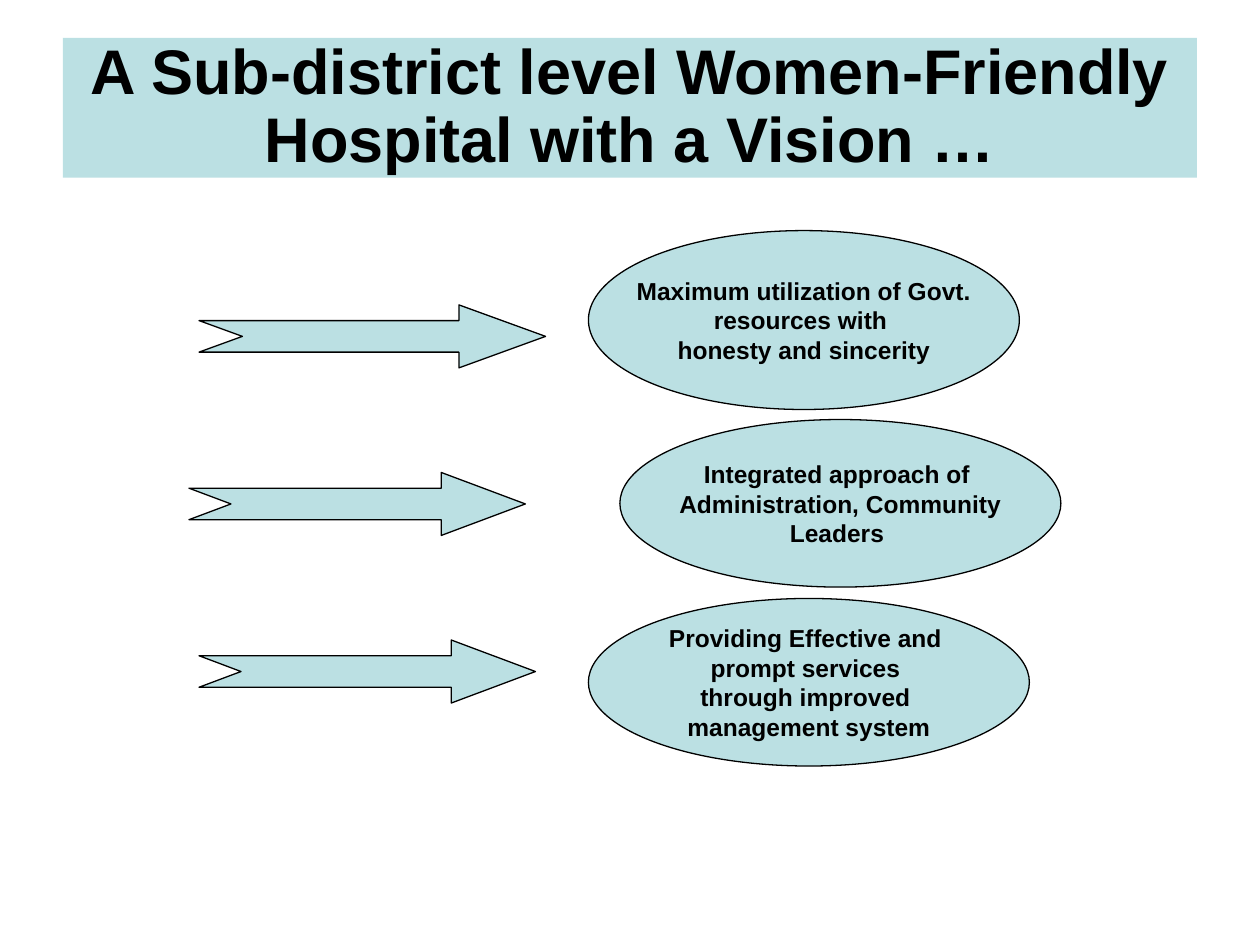
from pptx import Presentation
from pptx.dml.color import RGBColor
from pptx.enum.shapes import MSO_SHAPE
from pptx.enum.text import MSO_ANCHOR, PP_ALIGN
from pptx.util import Inches, Pt

deck = Presentation()
deck.slide_width, deck.slide_height = Inches(10), Inches(7.5)
slide = deck.slides.add_slide(deck.slide_layouts[6])


def color(hue):
    return RGBColor.from_string(hue)


def add_shape(kind, box, lines=(), size=14, wrap=False, edge=True):
    """Add a pale blue shape with one bold, centred paragraph per line."""
    shape = slide.shapes.add_shape(kind, *[Inches(v) for v in box])
    shape.shadow.inherit = False
    shape.fill.solid()
    shape.fill.fore_color.rgb = color("BBE0E3")
    if edge:
        shape.line.color.rgb = color("000000")
        shape.line.width = Pt(0.75)
    else:
        shape.line.fill.background()
    frame = shape.text_frame
    frame.word_wrap = wrap
    frame.vertical_anchor = MSO_ANCHOR.MIDDLE
    frame.text = "\n".join(lines)
    for para in frame.paragraphs:
        para.alignment = PP_ALIGN.CENTER
        for run in para.runs:
            run.font.name = "Arial"
            run.font.size = Pt(size)
            run.font.bold = True
            run.font.color.rgb = color("000000")
    return shape


title = add_shape(MSO_SHAPE.RECTANGLE, (0.5, 0.3, 9, 1.11),
                  ["A Sub-district level Women-Friendly Hospital with a Vision …"],
                  size=36, wrap=True, edge=False)
title.text_frame.paragraphs[0].line_spacing = 0.9  # keeps both lines in the band

# Each goal: arrow left, top, width; oval box; lines of text
goals = [
    ((1.58, 2.42, 2.75), (4.67, 1.83, 3.42, 1.42),
     ["Maximum utilization of Govt.", "resources with ",
      "honesty and sincerity"]),
    ((1.5, 3.75, 2.67), (4.92, 3.33, 3.5, 1.33),
     ["Integrated approach of ", "Administration, Community", "Leaders "]),
    ((1.58, 5.08, 2.67), (4.67, 4.75, 3.5, 1.33),
     ["Providing Effective and ", "prompt services ",
      "through improved ", "management system"]),
]
tall = 0.5
for (left, top, wide), oval, lines in goals:
    arrow = add_shape(MSO_SHAPE.NOTCHED_RIGHT_ARROW, (left, top, wide, tall))
    arrow.adjustments[0] = 0.5
    arrow.adjustments[1] = wide / 4 / tall  # the head is a quarter of the arrow
    add_shape(MSO_SHAPE.OVAL, oval, lines)

deck.save("out.pptx")
